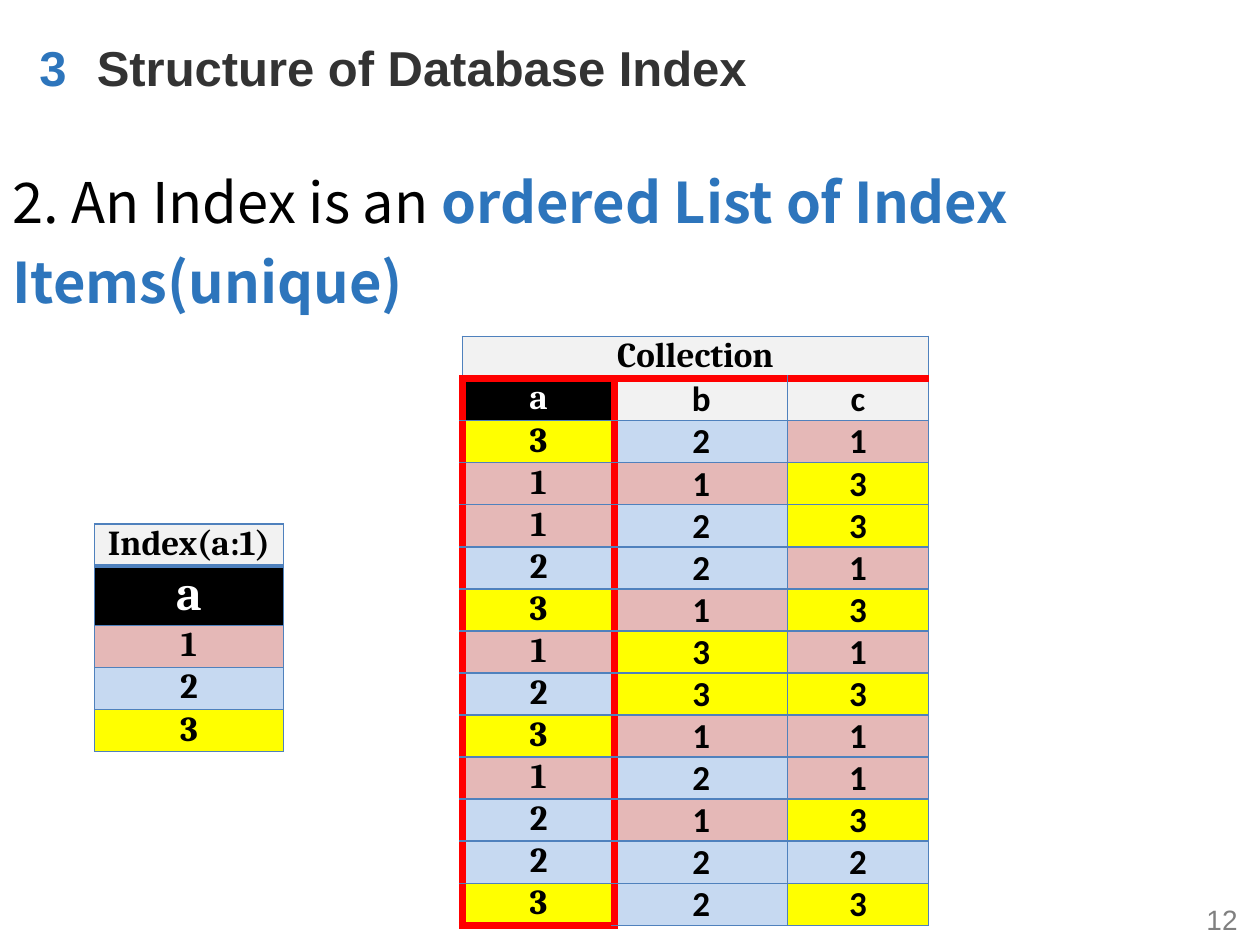
from dataclasses import dataclass

from lxml import etree
from pptx import Presentation
from pptx.dml.color import RGBColor
from pptx.enum import text as tx
from pptx.oxml import ns
from pptx.util import Inches, Pt


@dataclass(frozen=True)
class Theme:
    blue: str = "2D75BC"
    dark: str = "333333"
    gray: str = "808080"
    black: str = "000000"
    white: str = "FFFFFF"
    pale: str = "F2F2F2"
    line: str = "4F81BD"
    red: str = "FF0000"
    sans: str = "Arial"
    serif: str = "Cambria"
    plain: str = "Calibri"
    body: str = "Noto Sans CJK SC"
    note: int = 16
    cell: int = 20
    head: int = 28
    lead: int = 32


T = Theme()
FILLS = {"1": "E5B8B7", "2": "C6D9F1", "3": "FFFF00", "a": T.black}
THIN, MID, THICK = (T.line, 1), (T.line, 2.25), (T.red, 4.5)
MIDDLE = tx.MSO_ANCHOR.MIDDLE
LEFT, CENTER, RIGHT = tx.PP_ALIGN.LEFT, tx.PP_ALIGN.CENTER, tx.PP_ALIGN.RIGHT


@dataclass(frozen=True)
class Box:
    x: float
    y: float
    w: float
    h: float

    def dims(self) -> tuple:
        return tuple(Inches(v) for v in (self.x, self.y, self.w, self.h))


@dataclass(frozen=True)
class Grid:
    box: Box
    cols: list
    rows: list
    data: list


def write(para, words: str, *, size: int, font: str, color: str,
          bold: bool = False, align=LEFT) -> None:
    """Add one formatted run to a paragraph."""
    para.alignment = align
    run = para.add_run()
    run.text = words
    face = run.font
    face.size, face.name, face.bold = Pt(size), font, bold
    face.color.rgb = RGBColor.from_string(color)


def frame(slide, box: Box, anchor=MIDDLE):
    """Add a wrapping text box and return its first paragraph."""
    body = slide.shapes.add_textbox(*box.dims()).text_frame
    body.word_wrap = True
    body.vertical_anchor = anchor
    return body.paragraphs[0]


def edge(cell, **sides: tuple) -> None:
    """Draw cell borders; each side l, r, t, b is (colour, points)."""
    props = cell._tc.get_or_add_tcPr()
    for spot, side in enumerate("lrtb"):
        color, width = sides.get(side, THIN)
        line = etree.Element(ns.qn(f"a:ln{side.upper()}"), w=str(int(Pt(width))))
        fill = etree.SubElement(line, ns.qn("a:solidFill"))
        etree.SubElement(fill, ns.qn("a:srgbClr"), val=color)
        props.insert(spot, line)


def fill(cell, words: str, col: int, size: int) -> None:
    cell.margin_left = cell.margin_right = Inches(0.08)
    cell.margin_top = cell.margin_bottom = 0
    cell.fill.solid()
    cell.fill.fore_color.rgb = RGBColor.from_string(FILLS.get(words, T.pale))
    if words:
        write(cell.text_frame.paragraphs[0], words, size=size, bold=True,
              font=T.plain if col else T.serif, align=CENTER,
              color=T.white if words == "a" else T.black)


def table(slide, grid: Grid, big: int, rule) -> None:
    """Draw a grid; rule(row, col) gives the borders that are not thin."""
    tab = slide.shapes.add_table(len(grid.rows), len(grid.cols), *grid.box.dims()).table
    tab.first_row = tab.horz_banding = False
    for col, wide in zip(tab.columns, grid.cols):
        col.width = Inches(wide)
    for row, high in zip(tab.rows, grid.rows):
        row.height = Inches(high)
    for r, line in enumerate(grid.data):
        for c, words in enumerate(line):
            cell = tab.cell(r, c)
            fill(cell, words, c, big if words == "a" else T.cell)
            edge(cell, **rule(r, c))
    if len(grid.cols) > 1:
        tab.cell(0, 0).merge(tab.cell(0, len(grid.cols) - 1))


def key(r: int, c: int) -> dict:
    """Thicker rule between the caption and the index field."""
    return {0: {"b": MID}, 1: {"t": MID}}.get(r, {})


def ring(r: int, c: int) -> dict:
    """Red frame round column a, with a red rule under the caption."""
    if r == 0:
        return {"b": THICK}
    sides = {"t": THICK} if r == 1 else {}
    if c == 0:
        sides |= {"l": THICK, "r": THICK}
        if r == len(ITEMS) + 1:
            sides["b"] = THICK
    elif c == 1:
        sides["l"] = THICK
    return sides


ITEMS = ["abc", "321", "113", "123", "221", "313", "131",
         "233", "311", "121", "213", "222", "323"]
ITEMS, NAMES = ITEMS[1:], ITEMS[0]
INDEX = Grid(Box(0.75, 4.16, 1.5, 1.8), [1.5], [0.33, 0.47] + [0.33] * 3,
             [["Index(a:1)"], *"a123"])
STORE = Grid(Box(3.67, 2.67, 3.7, 4.67), [1.21, 1.37, 1.12],
             [0.33] * (len(ITEMS) + 2), [["Collection", "", ""], NAMES, *ITEMS])


def main() -> None:
    deck = Presentation()
    deck.slide_width, deck.slide_height = Inches(10), Inches(7.5)
    slide = deck.slides.add_slide(deck.slide_layouts[6])

    write(frame(slide, Box(9.42, 7.1, 0.5, 0.4)), "12",
          size=T.note, font=T.sans, color=T.gray, align=RIGHT)
    title = dict(size=T.head, font=T.sans, bold=True)
    write(frame(slide, Box(0.17, 0.25, 0.5, 0.57)), "3",
          color=T.blue, align=CENTER, **title)
    write(frame(slide, Box(0.67, 0.25, 8.75, 0.57)),
          "Structure of Database Index", color=T.dark, **title)

    lead = frame(slide, Box(0, 1.17, 10, 1.34), tx.MSO_ANCHOR.TOP)
    lead.line_spacing = 1.2
    look = dict(size=T.lead, font=T.body)
    write(lead, "2. An Index is an ", color=T.black, **look)
    write(lead, "ordered List of Index Items(unique)",
          color=T.blue, bold=True, **look)

    table(slide, INDEX, T.head, key)
    table(slide, STORE, T.cell, ring)
    deck.save("out.pptx")


if __name__ == "__main__":
    main()
